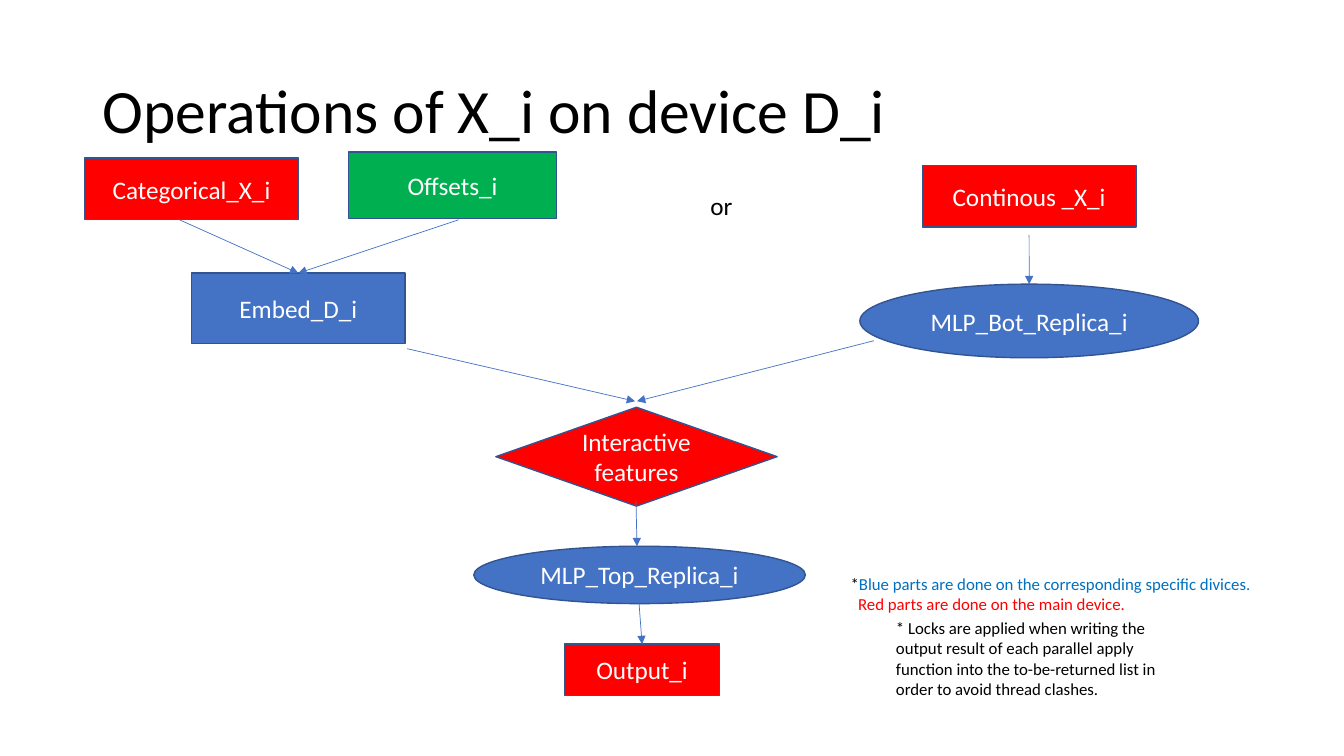
from dataclasses import dataclass

from lxml import etree
from pptx import Presentation
from pptx.dml.color import RGBColor
from pptx.enum.shapes import MSO_CONNECTOR, MSO_SHAPE
from pptx.enum.text import MSO_ANCHOR, PP_ALIGN
from pptx.oxml.ns import qn
from pptx.util import Pt

RECTANGLE = MSO_SHAPE.RECTANGLE
ELLIPSE = MSO_SHAPE.OVAL
DIAMOND = MSO_SHAPE.DIAMOND
STRAIGHT = MSO_CONNECTOR.STRAIGHT
MIDDLE, TOP = MSO_ANCHOR.MIDDLE, MSO_ANCHOR.TOP
CENTER, LEFT = PP_ALIGN.CENTER, PP_ALIGN.LEFT
TOP_SIDE = 0


@dataclass(frozen=True)
class Theme:
    font: str = "Calibri"
    title_size: float = 44
    label_size: float = 18
    note_size: float = 12
    black: str = "000000"
    white: str = "FFFFFF"
    blue: str = "4472C4"
    outline: str = "325491"
    red: str = "FF0000"
    green: str = "00B050"
    note_blue: str = "0070C0"


THEME = Theme()


def color(value):
    return RGBColor.from_string(value)


def write_text(paragraph, text, size=THEME.label_size, ink=THEME.black,
               align=LEFT, spacing=None, indent=0):
    """Append one formatted span to a paragraph."""
    paragraph.alignment = align
    if spacing:
        paragraph.line_spacing = spacing
    if indent:
        paragraph._p.get_or_add_pPr().set("marL", str(Pt(indent)))
    span = paragraph.add_run()
    span.text = text
    span.font.name = THEME.font
    span.font.size = Pt(size)
    span.font.color.rgb = color(ink)


def add_text_box(page, left, top, width, height, anchor=TOP):
    """Add an empty wrapping text box and return its frame."""
    box = page.shapes.add_textbox(Pt(left), Pt(top), Pt(width), Pt(height))
    frame = box.text_frame
    frame.word_wrap = True
    frame.vertical_anchor = anchor
    return frame


def add_node(page, kind, text, fill, left, top, width, height):
    """Add one labelled step of the flow."""
    node = page.shapes.add_shape(kind, Pt(left), Pt(top), Pt(width), Pt(height))
    node.shadow.inherit = False
    node.fill.solid()
    node.fill.fore_color.rgb = color(fill)
    node.line.color.rgb = color(THEME.outline)
    node.line.width = Pt(1)
    frame = node.text_frame
    frame.word_wrap = True
    frame.vertical_anchor = MIDDLE
    write_text(frame.paragraphs[0], text, ink=THEME.white, align=CENTER)
    return node


def add_arrow(page, start, end, target=None):
    """Add an arrow; a target joins its head to that node's top side."""
    arrow = page.shapes.add_connector(STRAIGHT, *map(Pt, start + end))
    if target is not None:
        arrow.end_connect(target, TOP_SIDE)
    arrow.line.color.rgb = color(THEME.blue)
    arrow.line.width = Pt(0.5)
    etree.SubElement(arrow.line._get_or_add_ln(), qn("a:tailEnd"), type="triangle")
    etree.SubElement(arrow._element.spPr, qn("a:effectLst"))


def add_flow(page):
    # Inputs
    add_node(page, RECTANGLE, "Categorical_X_i", THEME.red, 60.5, 113, 152.6, 44)
    add_node(page, RECTANGLE, "Offsets_i", THEME.green, 249.1, 108.7, 148.3, 47.5)
    add_node(page, RECTANGLE, "Continous _X_i", THEME.red, 658.8, 118.1, 152.6, 44)

    # Processing steps
    embed = add_node(page, RECTANGLE, "Embed_D_i", THEME.blue, 136.8, 195.1, 152.6, 50.4)
    bottom_mlp = add_node(page, ELLIPSE, "MLP_Bot_Replica_i", THEME.blue,
                          614.2, 203, 241.9, 52.6)
    add_node(page, DIAMOND, "Interactive features", THEME.red, 354.2, 290.9, 200.9, 70.6)
    add_node(page, ELLIPSE, "MLP_Top_Replica_i", THEME.blue, 338.4, 390.2, 236.9, 41)
    output = add_node(page, RECTANGLE, "Output_i", THEME.red, 403.2, 460.1, 110.9, 36.7)

    # Arrows
    for start, end, target in (
        ((128.2, 157), (210.2, 193.7), embed),
        ((327.6, 157), (211, 193.7), embed),
        ((735.1, 167.8), (734.4, 202.3), bottom_mlp),
        ((290.9, 249.1), (453.6, 286.6), None),
        ((624.2, 243.4), (455, 286.6), None),
        ((454.3, 357.8), (455, 390.2), None),
        ((456.5, 431.3), (458.6, 458.6), output),
    ):
        add_arrow(page, start, end, target)


def add_notes_on_page(page):
    # Colour key
    key = add_text_box(page, 600.5, 406.1, 312.5, 36)
    first = key.paragraphs[0]
    write_text(first, "*", size=THEME.note_size)
    write_text(first, "Blue parts are done on the corresponding specific divices.",
               size=THEME.note_size, ink=THEME.note_blue)
    write_text(key.add_paragraph(), "Red parts are done on the main device.",
               size=THEME.note_size, ink=THEME.red, indent=5.4)

    # Locking remark
    remark = add_text_box(page, 632.9, 437.8, 216, 65.5)
    write_text(remark.paragraphs[0],
               "* Locks are applied when writing the output result of each parallel "
               "apply function into the to-be-returned list in order to avoid "
               "thread clashes.", size=THEME.note_size)


def main():
    deck = Presentation()
    deck.slide_width, deck.slide_height = Pt(960), Pt(540)
    page = deck.slides.add_slide(deck.slide_layouts[6])

    # Title
    title = add_text_box(page, 66.2, 28.8, 828, 104.4, anchor=MIDDLE)
    write_text(title.paragraphs[0], "Operations of X_i on device D_i",
               size=THEME.title_size, spacing=0.9)

    add_flow(page)

    # Alternative between the two inputs
    either = add_text_box(page, 500.4, 132.5, 216, 28.8)
    write_text(either.paragraphs[0], "or")

    add_notes_on_page(page)
    deck.save("out.pptx")


if __name__ == "__main__":
    main()
